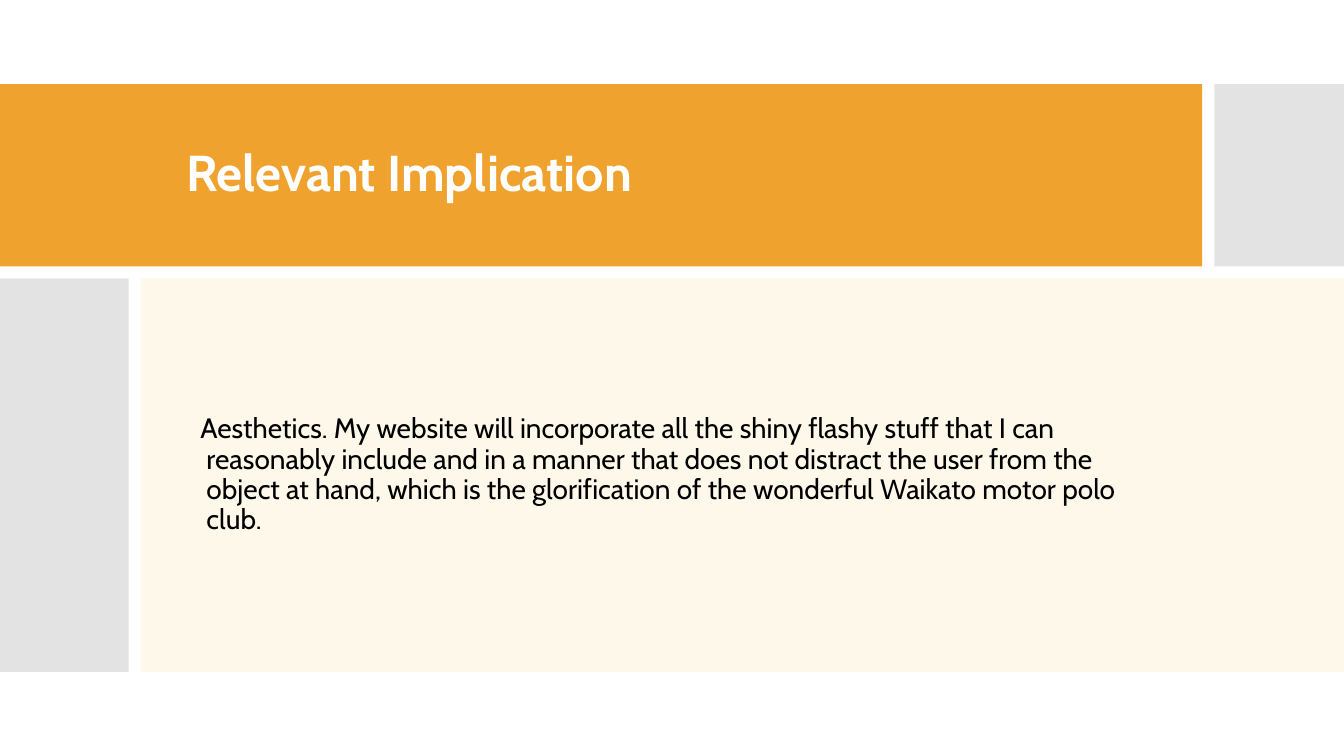
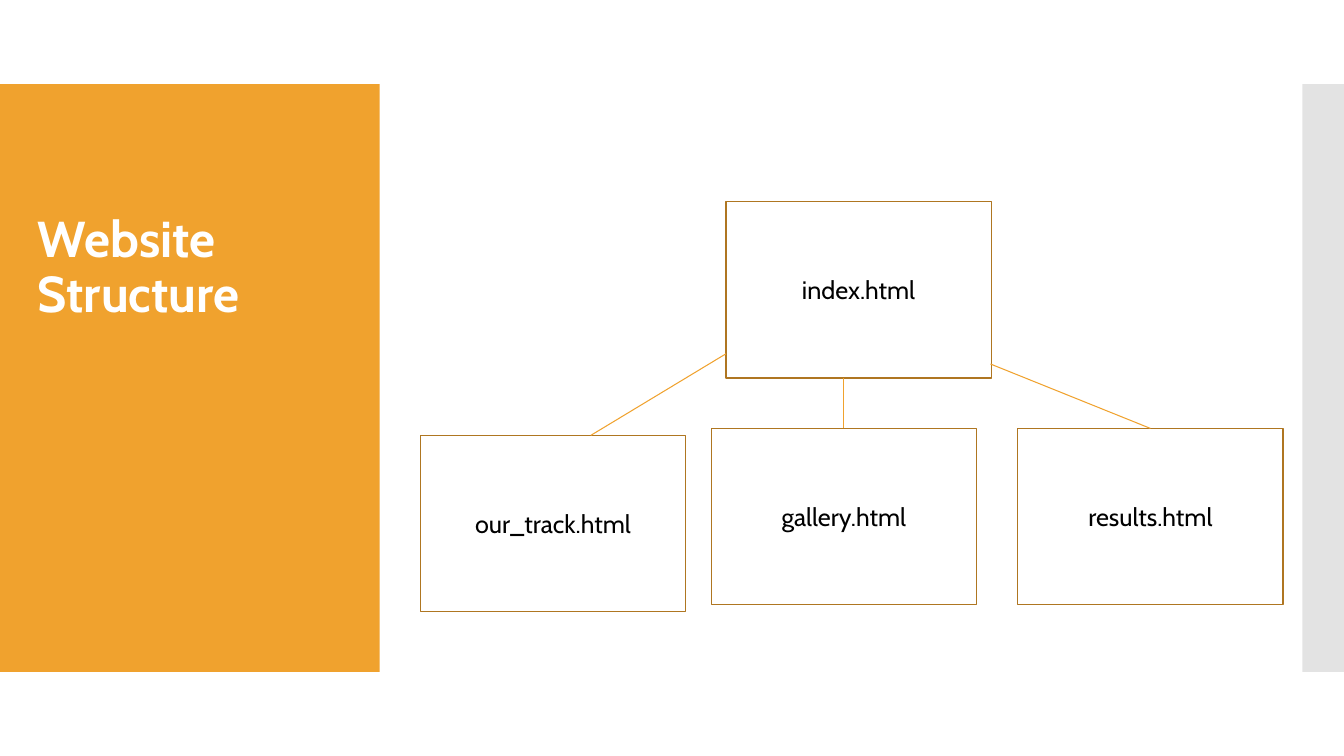
from pptx import Presentation
from pptx.dml.color import RGBColor
from pptx.enum.shapes import MSO_CONNECTOR as Connector, MSO_SHAPE as Shape
from pptx.enum.text import MSO_ANCHOR as Anchor, PP_ALIGN as Align
from pptx.oxml.ns import qn
from pptx.util import Pt
from lxml.etree import SubElement

COLORS = {"orange": "F0A22E", "brown": "AF7621", "gray": "C8C8C8",
          "cream": "FCF4DD", "white": "FFFFFF", "black": "000000"}
FONT = "Cabin"
WIDTH, HEIGHT = 960, 540
BAND_TOP, BAND_BOTTOM = 60, 480


def add_block(slide, left, top, width, height, color, opacity=100):
    """Add a plain rectangle without a border."""
    block = slide.shapes.add_shape(Shape.RECTANGLE, Pt(left), Pt(top), Pt(width), Pt(height))
    block.shadow.inherit = False
    block.line.fill.background()
    block.fill.solid()
    block.fill.fore_color.rgb = RGBColor.from_string(COLORS[color])
    if opacity < 100:
        rgb = block.fill._xPr.find(qn("a:solidFill"))[0]
        SubElement(rgb, qn("a:alpha"), val=str(opacity * 1000))
    return block


def write(shape, text, size, color, bold=False, align=Align.LEFT, spacing=0.9):
    """Fill a shape with one vertically centred paragraph."""
    frame = shape.text_frame
    frame.word_wrap = True
    frame.vertical_anchor = Anchor.MIDDLE
    para = frame.paragraphs[0]
    para.alignment = align
    para.line_spacing = spacing
    span = para.add_run()
    span.text = text
    span.font.name = FONT
    span.font.size = Pt(size)
    span.font.bold = bold
    span.font.color.rgb = RGBColor.from_string(COLORS[color])
    return para


deck = Presentation()
deck.slide_width, deck.slide_height = Pt(WIDTH), Pt(HEIGHT)
blank = deck.slide_layouts[6]
implication = deck.slides.add_slide(blank)
structure = deck.slides.add_slide(blank)

# Panels of both slides: slide, left, top, width, height, colour, opacity
title_right, side_right, gap = 858.75, 92, 8.65
title_height = 130.25
lower_top = BAND_TOP + title_height + gap
lower_height = BAND_BOTTOM - lower_top
corner_left, body_left = title_right + gap, side_right + gap
full_height = BAND_BOTTOM - BAND_TOP
for panel in [
    (implication, 0, BAND_TOP, title_right, title_height, "orange"),
    (implication, corner_left, BAND_TOP, WIDTH - corner_left, title_height, "gray", 50),
    (implication, 0, lower_top, side_right, lower_height, "gray", 50),
    (implication, body_left, lower_top, WIDTH - body_left, lower_height, "cream", 60),
    (structure, 0, BAND_TOP, 271.25, full_height, "orange"),
    (structure, 930.25, BAND_TOP, WIDTH - 930.25, full_height, "gray", 50),
]:
    add_block(*panel)

# Titles
for slide, text, left, top, width, height in [
    (implication, "Relevant Implication", 126, 85.75, 707, 78.5),
    (structure, "Website Structure", 20, 88.5, 232, 207),
]:
    title = slide.shapes.add_textbox(Pt(left), Pt(top), Pt(width), Pt(height))
    write(title, text, 36, "white", bold=True)

# Body text with a small hanging indent
body = implication.shapes.add_textbox(Pt(126), Pt(lower_top), Pt(707), Pt(lower_height))
para = write(body, "Aesthetics. My website will incorporate all the shiny flashy stuff "
             "that I can reasonably include and in a manner that does not distract the "
             "user from the object at hand, which is the glorification of the wonderful "
             "Waikato motor polo club.", 20, "black")
properties = para._p.get_or_add_pPr()
properties.set("marL", str(Pt(14.4)))
properties.set("indent", str(Pt(-4.4)))

# Site map pages
pages = {}
for name, left, top in [("index.html", 518.5, 144), ("results.html", 727, 306),
                        ("our_track.html", 300.25, 311), ("gallery.html", 508, 306)]:
    page = add_block(structure, left, top, 189.5, 126, "white")
    page.line.color.rgb = RGBColor.from_string(COLORS["brown"])
    page.line.width = Pt(0.85)
    write(page, name, 18, "black", align=Align.CENTER, spacing=1)
    pages[name] = page

# Links from the index page to the pages below it
for name, start_x, start_y, end_x, end_y in [
    ("our_track.html", 518.5, 252.75, 422, 311),
    ("gallery.html", 602.75, 270, 602.75, 306),
    ("results.html", 707.5, 260, 821.75, 306),
]:
    link = structure.shapes.add_connector(
        Connector.STRAIGHT, Pt(start_x), Pt(start_y), Pt(end_x), Pt(end_y))
    link.line.color.rgb = RGBColor.from_string(COLORS["orange"])
    link.line.width = Pt(0.75)
    SubElement(link._element.spPr, qn("a:effectLst"))
    if name != "our_track.html":  # this link lands right of the middle
        link.end_connect(pages[name], 0)

deck.save("out.pptx")
